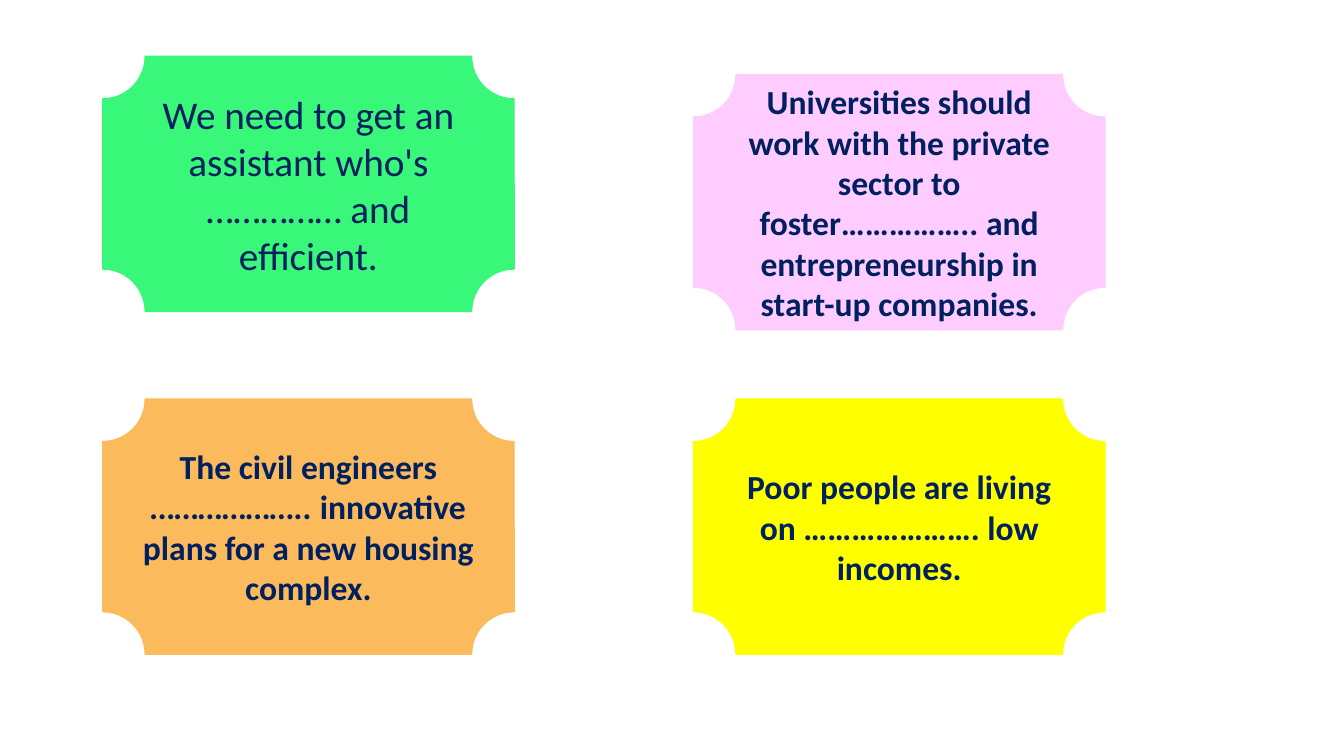
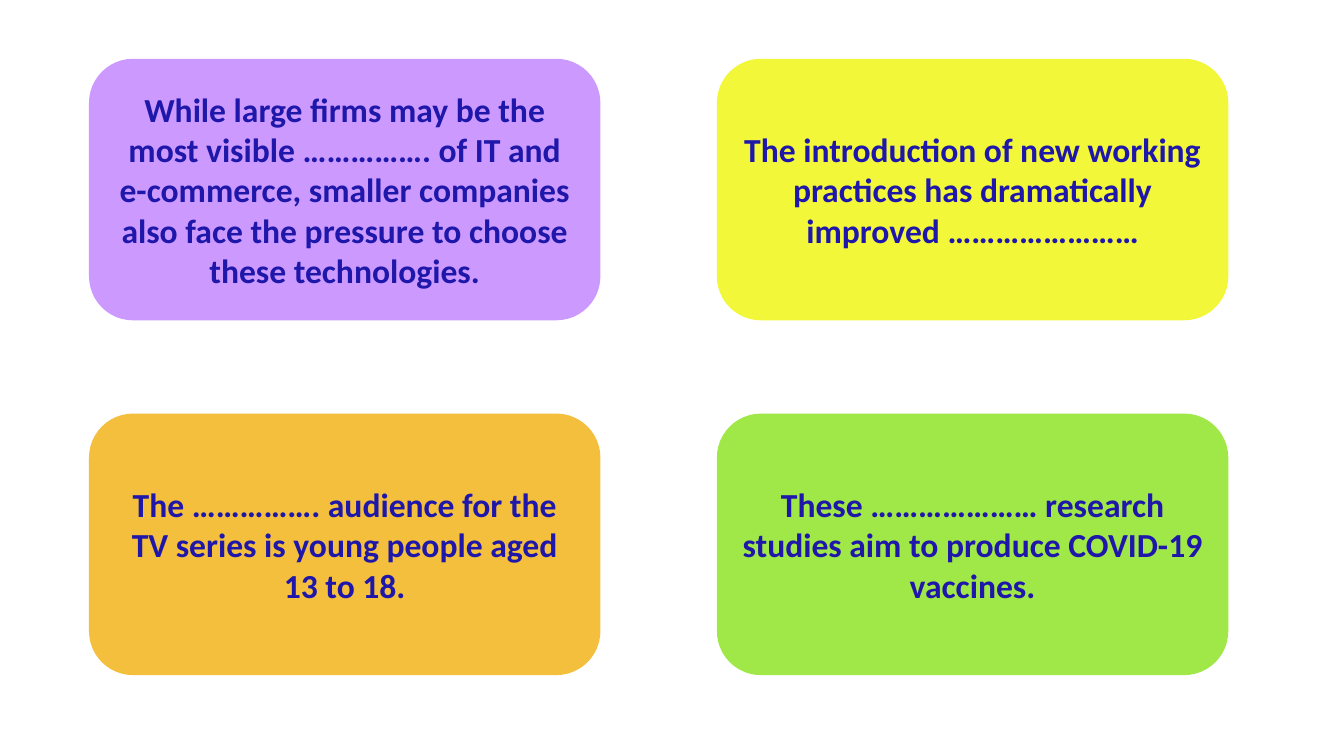
from dataclasses import dataclass

from pptx import Presentation
from pptx.dml.color import RGBColor
from pptx.enum.shapes import MSO_SHAPE
from pptx.enum.text import MSO_ANCHOR, PP_ALIGN
from pptx.util import Pt

PLAQUE = MSO_SHAPE.PLAQUE
ROUNDED = MSO_SHAPE.FLOWCHART_ALTERNATE_PROCESS
MIDDLE = MSO_ANCHOR.MIDDLE
CENTER = PP_ALIGN.CENTER


@dataclass(frozen=True)
class Theme:
    font: str = "Calibri"
    body_size: int = 24
    large_size: int = 28
    line_width: int = 1
    navy: str = "002060"
    indigo: str = "1E17A9"
    green: str = "39F778"
    pink: str = "FFCCFF"
    orange: str = "FBBA5B"
    yellow: str = "FFFF00"
    lilac: str = "CC99FF"
    lemon: str = "F2F739"
    amber: str = "F3BF3D"
    lime: str = "A0E848"


THEME = Theme()
SLIDE_SIZE = (960, 540)

BOLD = {"bold": True}
BOLD_ITALIC = {"bold": True, "italic": True}
LARGE = {"size": THEME.large_size}

SLIDES = [
    {
        "shape": PLAQUE,
        "text_color": THEME.navy,
        "origin": (73.4, 40.3),
        "card_size": (293.8, 182.2),
        "pitch": (422, 244.8),
        "cards": [
            {"fill": THEME.green, "runs": [
                ("We need to get an assistant who's …………… and efficient.", LARGE)]},
            {"fill": THEME.pink, "drop": 13, "runs": [
                ("Universities should work with the private sector to foster…………….. "
                 "and entrepreneurship in start-up companies.", BOLD)]},
            {"fill": THEME.orange, "runs": [
                ("The civil engineers ", BOLD),
                ("………………..", BOLD_ITALIC),
                (" innovative plans for a new housing complex.", BOLD)]},
            {"fill": THEME.yellow, "runs": [
                ("Poor people are living on …………………. low incomes.", BOLD)]},
        ],
    },
    {
        "shape": ROUNDED,
        "text_color": THEME.indigo,
        "origin": (64.1, 42.5),
        "card_size": (364.3, 185.8),
        "pitch": (448.5, 253.4),
        "cards": [
            {"fill": THEME.lilac, "runs": [
                ("While large firms may be the most visible ……………. of IT and "
                 "e-commerce, smaller companies also face the pressure to choose "
                 "these technologies.", BOLD)]},
            {"fill": THEME.lemon, "runs": [
                ("The introduction of new working practices has dramatically "
                 "improved ……………………", BOLD)]},
            {"fill": THEME.amber, "runs": [
                ("The ……………. audience for the TV series is young people aged "
                 "13 to 18.", BOLD)]},
            {"fill": THEME.lime, "runs": [
                ("These ………………… research studies aim to produce COVID-19 "
                 "vaccines.", BOLD)]},
        ],
    },
]


def add_run(paragraph, text, color, size=THEME.body_size, bold=False, italic=False):
    run = paragraph.add_run()
    run.text = text
    run.font.name = THEME.font
    run.font.size = Pt(size)
    run.font.bold = bold
    run.font.italic = italic
    run.font.color.rgb = RGBColor.from_string(color)


def add_card(slide, layout, index, card):
    row, column = divmod(index, 2)
    left = layout["origin"][0] + column * layout["pitch"][0]
    top = layout["origin"][1] + row * layout["pitch"][1] + card.get("drop", 0)
    width, height = layout["card_size"]
    shape = slide.shapes.add_shape(
        layout["shape"], Pt(left), Pt(top), Pt(width), Pt(height))
    fill_color = RGBColor.from_string(card["fill"])
    shape.shadow.inherit = False
    shape.fill.solid()
    shape.fill.fore_color.rgb = fill_color
    shape.line.color.rgb = fill_color
    shape.line.width = Pt(THEME.line_width)
    text_frame = shape.text_frame
    text_frame.word_wrap = True
    text_frame.vertical_anchor = MIDDLE
    paragraph = text_frame.paragraphs[0]
    paragraph.alignment = CENTER
    for text, style in card["runs"]:
        add_run(paragraph, text, layout["text_color"], **style)


def main():
    presentation = Presentation()
    presentation.slide_width, presentation.slide_height = map(Pt, SLIDE_SIZE)
    blank_layout = presentation.slide_layouts[6]
    for layout in SLIDES:
        slide = presentation.slides.add_slide(blank_layout)
        for index, card in enumerate(layout["cards"]):
            add_card(slide, layout, index, card)
    presentation.save("out.pptx")


if __name__ == "__main__":
    main()
